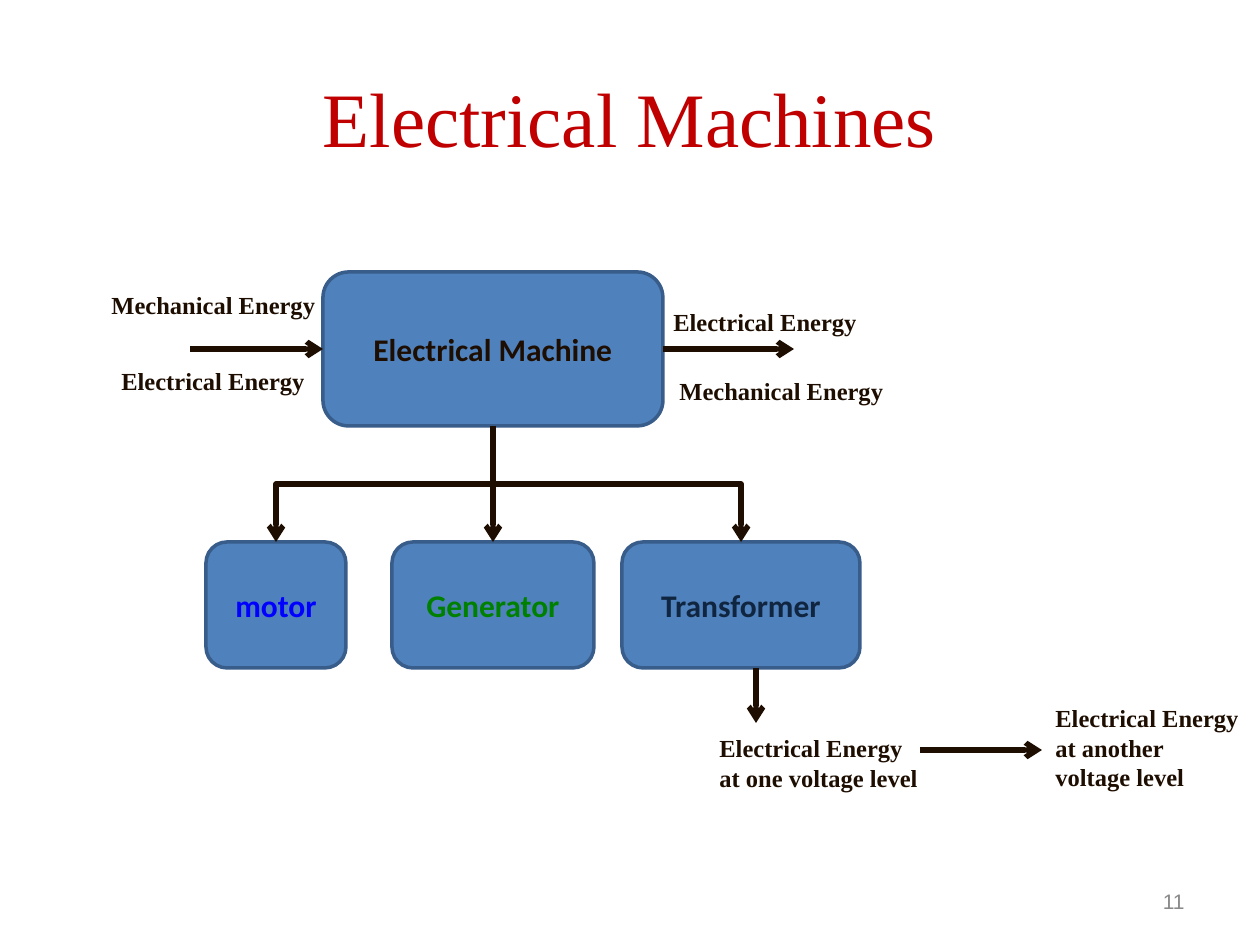
from dataclasses import dataclass
from typing import Optional

from pptx import Presentation
from pptx.dml.color import RGBColor
from pptx.enum.shapes import MSO_CONNECTOR, MSO_SHAPE
from pptx.enum.text import MSO_ANCHOR, MSO_AUTO_SIZE, PP_ALIGN
from pptx.oxml.ns import qn
from pptx.util import Emu, Pt
from lxml import etree

STRAIGHT, ELBOW = MSO_CONNECTOR.STRAIGHT, MSO_CONNECTOR.ELBOW
ROUNDED = MSO_SHAPE.ROUNDED_RECTANGLE
MIDDLE = MSO_ANCHOR.MIDDLE
GROW = MSO_AUTO_SIZE.SHAPE_TO_FIT_TEXT
LEFT, CENTER, RIGHT, JUSTIFY = PP_ALIGN.LEFT, PP_ALIGN.CENTER, PP_ALIGN.RIGHT, PP_ALIGN.JUSTIFY
TOP_SIDE, LEFT_SIDE, BOTTOM_SIDE, RIGHT_SIDE = range(4)
EMU_PER_PX = 914400 / 126


@dataclass(frozen=True)
class Theme:
    title: str = "C00000"
    ink: str = "1E0E01"
    fill: str = "4F81BD"
    border: str = "385D8A"
    motor: str = "0000FF"
    generator: str = "008000"
    transformer: str = "10253F"
    page: str = "898989"
    serif: str = "Times New Roman"
    sans: str = "Calibri"
    page_font: str = "Arial"
    title_size: int = 44
    block_size: int = 18
    label_size: int = 14
    page_size: int = 12
    border_width: int = 2
    arrow_width: int = 3


THEME = Theme()


@dataclass(frozen=True)
class Block:
    text: str
    left: int
    top: int
    width: int
    height: int
    color: str


@dataclass(frozen=True)
class Label:
    lines: tuple
    left: int
    top: int
    width: int
    height: int
    align: int = LEFT


@dataclass(frozen=True)
class Arrow:
    start: tuple
    end: tuple
    start_block: Optional[str] = None
    start_side: int = BOTTOM_SIDE
    end_block: Optional[str] = None
    end_side: int = TOP_SIDE
    bent: bool = False


MACHINE, MOTOR, GENERATOR, TRANSFORMER = "Electrical Machine", "motor", "Generator", "Transformer"
MECHANICAL, ELECTRICAL = "Mechanical Energy", "Electrical Energy"

BLOCKS = (
    Block(MACHINE, 323, 272, 340, 154, THEME.ink),
    Block(MOTOR, 206, 542, 140, 126, THEME.motor),
    Block(GENERATOR, 392, 542, 202, 126, THEME.generator),
    Block(TRANSFORMER, 622, 542, 238, 126, THEME.transformer),
)
ARROWS = (
    Arrow((493, 426), (741, 542), MACHINE, BOTTOM_SIDE, TRANSFORMER, TOP_SIDE, bent=True),
    Arrow((493, 484), (493, 542), end_block=GENERATOR),
    Arrow((493, 426), (276, 542), MACHINE, BOTTOM_SIDE, MOTOR, TOP_SIDE, bent=True),
    Arrow((190, 349), (323, 349), end_block=MACHINE, end_side=LEFT_SIDE),
    Arrow((663, 349), (794, 349), MACHINE, RIGHT_SIDE),
    Arrow((756, 668), (756, 723)),
    Arrow((920, 750), (1042, 750)),
)
LABELS = (
    Label((MECHANICAL,), 99, 284, 232, 43),
    Label((MECHANICAL,), 667, 370, 232, 43),
    Label((ELECTRICAL,), 661, 301, 214, 43),
    Label((ELECTRICAL,), 109, 360, 214, 43),
    Label((ELECTRICAL, "at one voltage level"), 707, 727, 230, 72),
    Label((ELECTRICAL, "at another", "voltage level"), 1043, 697, 214, 101, JUSTIFY),
)


def px(length: float) -> Emu:
    return Emu(round(length * EMU_PER_PX))


def write_lines(frame, lines: tuple, font_name: str, size: int, color: str,
                align: int, bold: bool = False) -> None:
    for index, line in enumerate(lines):
        paragraph = frame.paragraphs[0] if index == 0 else frame.add_paragraph()
        paragraph.text = line
        paragraph.alignment = align
        paragraph.font.name = font_name
        paragraph.font.size = Pt(size)
        paragraph.font.bold = bold
        paragraph.font.color.rgb = RGBColor.from_string(color)


def add_title(slide, text: str) -> None:
    title = slide.shapes.title
    title.left, title.top, title.width, title.height = map(px, (63, 38, 1134, 158))
    title.text_frame.vertical_anchor = MIDDLE
    write_lines(title.text_frame, (text,), THEME.serif, THEME.title_size, THEME.title, CENTER)


def add_page_number(slide, text: str) -> None:
    frame = slide.shapes.add_textbox(*map(px, (903, 876, 294, 50))).text_frame
    frame.word_wrap = True
    frame.vertical_anchor = MIDDLE
    write_lines(frame, (text,), THEME.page_font, THEME.page_size, THEME.page, RIGHT)


def add_block(slide, block: Block):
    shape = slide.shapes.add_shape(
        ROUNDED, *map(px, (block.left, block.top, block.width, block.height)))
    shape.shadow.inherit = False
    shape.fill.solid()
    shape.fill.fore_color.rgb = RGBColor.from_string(THEME.fill)
    shape.line.color.rgb = RGBColor.from_string(THEME.border)
    shape.line.width = Pt(THEME.border_width)
    shape.text_frame.vertical_anchor = MIDDLE
    write_lines(shape.text_frame, (block.text,), THEME.sans, THEME.block_size,
                block.color, CENTER, bold=True)
    return shape


def add_label(slide, label: Label) -> None:
    frame = slide.shapes.add_textbox(
        *map(px, (label.left, label.top, label.width, label.height))).text_frame
    frame.word_wrap = False
    frame.auto_size = GROW
    write_lines(frame, label.lines, THEME.serif, THEME.label_size, THEME.ink,
                label.align, bold=True)


def turn_downward(connector, arrow: Arrow) -> None:
    (start_x, start_y), (end_x, end_y) = arrow.start, arrow.end
    drop, run = end_y - start_y, abs(end_x - start_x)
    connector.left = px((start_x + end_x - drop) / 2)
    connector.top = px((start_y + end_y - run) / 2)
    connector.width, connector.height = px(drop), px(run)
    transform = connector.element.spPr.find(qn("a:xfrm"))
    goes_right = end_x > start_x
    transform.set("rot", str((270 if goes_right else 90) * 60000))
    transform.set("flipH", "1" if goes_right else "0")


def add_arrow(slide, arrow: Arrow, shapes: dict) -> None:
    connector = slide.shapes.add_connector(
        ELBOW if arrow.bent else STRAIGHT, *map(px, arrow.start + arrow.end))
    if arrow.start_block:
        connector.begin_connect(shapes[arrow.start_block], arrow.start_side)
    if arrow.end_block:
        connector.end_connect(shapes[arrow.end_block], arrow.end_side)
    if arrow.bent:
        turn_downward(connector, arrow)
    connector.line.color.rgb = RGBColor.from_string(THEME.ink)
    connector.line.width = Pt(THEME.arrow_width)
    properties = connector.element.spPr
    etree.SubElement(properties.find(qn("a:ln")), qn("a:tailEnd"), type="arrow")
    etree.SubElement(properties, qn("a:effectLst"))


def main() -> None:
    presentation = Presentation()
    presentation.slide_width, presentation.slide_height = px(1260), px(945)
    slide = presentation.slides.add_slide(presentation.slide_layouts[5])
    add_title(slide, "Electrical Machines")
    add_page_number(slide, "11")
    shapes = {block.text: add_block(slide, block) for block in BLOCKS}
    for arrow in ARROWS:
        add_arrow(slide, arrow, shapes)
    for label in LABELS:
        add_label(slide, label)
    presentation.save("out.pptx")


if __name__ == "__main__":
    main()
